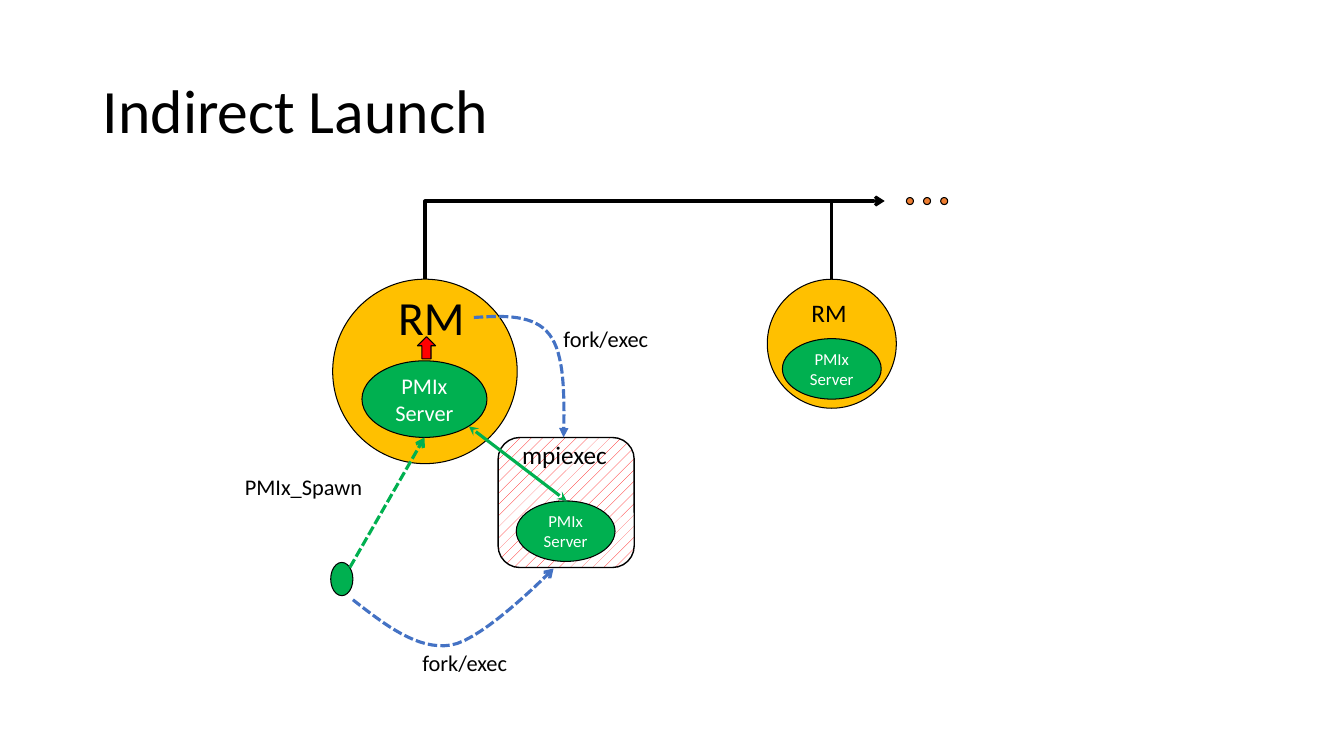
import pptx
import pptx.util
import pptx.dml.color
import pptx.enum.dml
import pptx.enum.shapes
import pptx.enum.text
import pptx.oxml.ns
import lxml.etree

Inches = pptx.util.Inches
Pt = pptx.util.Pt
RGB = pptx.dml.color.RGBColor.from_string
Kind = pptx.enum.shapes.MSO_SHAPE
Link = pptx.enum.shapes.MSO_CONNECTOR
Align = pptx.enum.text.PP_ALIGN
Anchor = pptx.enum.text.MSO_ANCHOR
Fit = pptx.enum.text.MSO_AUTO_SIZE
qn = pptx.oxml.ns.qn

hues = {"black": "000000", "white": "FFFFFF", "gold": "FFC000", "green": "00B050",
        "orange": "ED7D31", "red": "FF0000", "blue": "4472C4"}

deck = pptx.Presentation()
deck.slide_width = Inches(13.33)
deck.slide_height = Inches(7.5)
slide = deck.slides.add_slide(deck.slide_layouts[5])
shapes = slide.shapes


def write(frame, lines, size, hue, align):
    frame.text = "\n".join(lines)
    for para in frame.paragraphs:
        para.alignment = align
        para.font.name = "Calibri"
        para.font.size = Pt(size)
        para.font.color.rgb = RGB(hues[hue])


def stroke(line, hue, dash=False, head=None, tail=None):
    line.line.color.rgb = RGB(hues[hue])
    line.line.width = Pt(2.25)
    if dash:
        line.line.dash_style = pptx.enum.dml.MSO_LINE.SQUARE_DOT
    props = line._element.spPr
    edge = props.find(qn("a:ln"))
    for tag, tip in (("a:headEnd", head), ("a:tailEnd", tail)):
        if tip:
            lxml.etree.SubElement(edge, qn(tag)).set("type", tip)
    lxml.etree.SubElement(props, qn("a:effectLst"))


title = shapes.title
title.left, title.top = Inches(0.92), Inches(0.4)
title.width, title.height = Inches(11.5), Inches(1.45)
title.text_frame.vertical_anchor = Anchor.MIDDLE
title.text_frame.word_wrap = True
write(title.text_frame, ["Indirect Launch"], 44, "black", Align.LEFT)
title.text_frame.paragraphs[0].line_spacing = 0.9

nodes = [
    (Kind.OVAL, 3.3, 2.77, 1.83, 1.83, "gold", 0),
    (Kind.OVAL, 3.59, 3.58, 1.24, 0.76, "green", 16),
    (Kind.OVAL, 3.28, 5.58, 0.22, 0.33, "green", 0),
    (Kind.OVAL, 7.61, 2.77, 1.28, 1.28, "gold", 0),
    (Kind.OVAL, 7.76, 3.36, 0.98, 0.6, "green", 12),
    (Kind.ROUNDED_RECTANGLE, 4.94, 4.34, 1.35, 1.29, None, 0),
    (Kind.OVAL, 5.12, 4.97, 0.98, 0.6, "green", 12),
    (Kind.UP_ARROW, 4.14, 3.34, 0.18, 0.22, "red", 0),
]
for step in range(3):
    nodes.append((Kind.OVAL, 8.99 + 0.17 * step, 1.96, 0.07, 0.07, "orange", 0))

for kind, left, top, width, height, hue, size in nodes:
    node = shapes.add_shape(kind, Inches(left), Inches(top), Inches(width), Inches(height))
    node.shadow.inherit = False
    node.line.color.rgb = RGB(hues["black"])
    if hue:
        node.fill.solid()
        node.fill.fore_color.rgb = RGB(hues[hue])
        node.line.width = Pt(0.75)
    else:
        node.fill.patterned()
        node.fill.pattern = pptx.enum.dml.MSO_PATTERN.PERCENT_10
        node.fill.fore_color.rgb = RGB(hues["red"])
        node.fill.back_color.rgb = RGB(hues["white"])
        node.line.width = Pt(1)
    if size:
        node.text_frame.vertical_anchor = Anchor.MIDDLE
        write(node.text_frame, ["PMIx", "Server"], size, "white", Align.CENTER)

links = [
    (3.47, 5.63, 4.21, 4.34, "green", True, None, "arrow"),
    (8.25, 2.01, 8.25, 2.77, "black", False, None, None),
    (4.65, 4.23, 5.62, 4.97, "green", False, "stealth", "stealth"),
]
for x1, y1, x2, y2, hue, dash, head, tail in links:
    link = shapes.add_connector(Link.STRAIGHT, Inches(x1), Inches(y1), Inches(x2), Inches(y2))
    stroke(link, hue, dash, head, tail)

bend = shapes.add_connector(Link.ELBOW, Inches(6.88), Inches(4.66), Inches(6.11), Inches(0.1))
bend._element.spPr.find(qn("a:prstGeom")).set("prst", "bentConnector2")
bend._element.spPr.find(qn("a:xfrm")).set("rot", str(90 * 60000))
stroke(bend, "black", tail="arrow")

curves = [
    ("arrow", [(3.5, 5.95), (3.82, 6.2), (4.14, 6.45), (4.47, 6.4),
               (4.8, 6.35), (5.49, 5.64), (5.49, 5.64)]),
    ("triangle", [(4.7, 3.15), (5, 3.13), (5.3, 3.12), (5.45, 3.32),
                  (5.6, 3.51), (5.6, 3.92), (5.59, 4.34)]),
]
steps = 16
for tip, knots in curves:
    trail = []
    for first in (0, 3):
        a, b, c, d = knots[first:first + 4]
        for step in range(1, steps + 1):
            t = step / steps
            u = 1 - t
            trail.append([Inches(u**3 * p + 3 * u * u * t * q + 3 * u * t * t * r + t**3 * s)
                          for p, q, r, s in zip(a, b, c, d)])
    pen = shapes.build_freeform(Inches(knots[0][0]), Inches(knots[0][1]))
    pen.add_line_segments(trail, close=False)
    curve = pen.convert_to_shape()
    curve.fill.background()
    stroke(curve, "blue", True, tail=tip)

labels = [
    ("RM", 3.85, 2.81, 0.87, 0.67, 34),
    ("RM", 7.95, 2.9, 0.55, 0.4, 18),
    ("mpiexec", 5.08, 4.31, 1.05, 0.4, 18),
    ("PMIx_Spawn", 2.33, 4.64, 1.38, 0.37, 16),
    ("fork/exec", 4.09, 6.39, 1.05, 0.37, 16),
    ("fork/exec", 5.49, 3.18, 1.05, 0.37, 16),
]
for words, left, top, width, height, size in labels:
    label = shapes.add_textbox(Inches(left), Inches(top), Inches(width), Inches(height))
    label.text_frame.word_wrap = False
    label.text_frame.auto_size = Fit.SHAPE_TO_FIT_TEXT
    write(label.text_frame, [words], size, "black", Align.LEFT)

deck.save("out.pptx")
